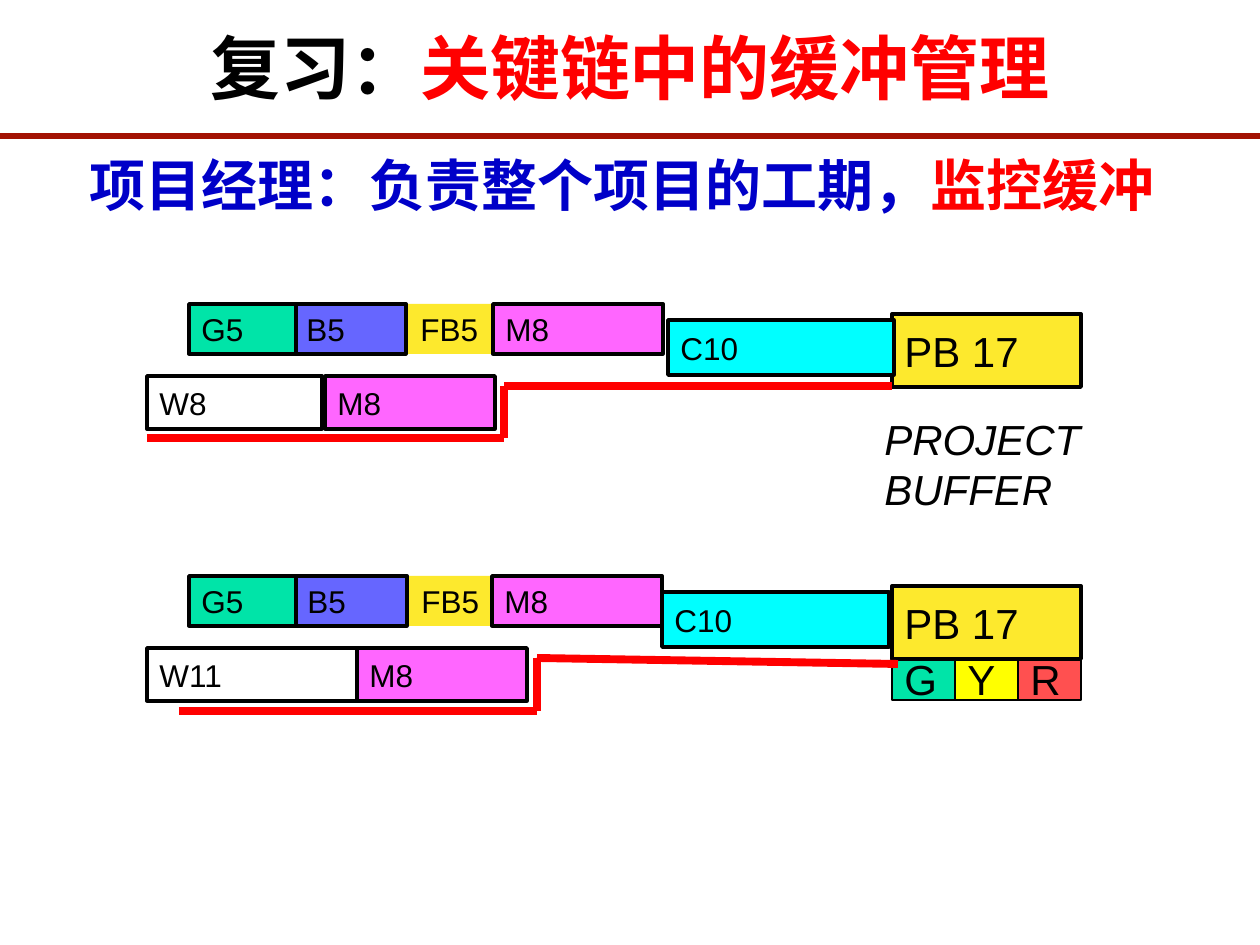
from dataclasses import dataclass
from itertools import pairwise

from lxml.etree import SubElement
from pptx import Presentation
from pptx.dml.color import RGBColor
from pptx.enum.shapes import MSO_CONNECTOR, MSO_SHAPE
from pptx.enum.text import MSO_ANCHOR, PP_ALIGN
from pptx.oxml.ns import qn
from pptx.util import Emu, Pt


@dataclass(frozen=True)
class Theme:
    latin: str = "Arial"
    chinese: str = "Noto Sans CJK SC"
    black: str = "000000"
    white: str = "FFFFFF"
    red: str = "FF0000"
    blue: str = "0000C8"
    rule: str = "A31203"
    green: str = "00E4A8"
    violet: str = "6666FF"
    pink: str = "FF66FF"
    cyan: str = "00FFFF"
    buffer: str = "FDE92D"
    yellow: str = "FFFF00"
    coral: str = "FF5050"
    title_size: int = 40
    subtitle_size: int = 32
    buffer_size: int = 24
    task_size: int = 18


THEME = Theme()
PX_PER_INCH = 126
SLIDE_WIDTH, SLIDE_HEIGHT = 1260, 945

TITLE = [("复习：", THEME.black), ("关键链中的缓冲管理", THEME.red)]
SUBTITLE = [("项目经理：负责整个项目的工期，", THEME.blue), ("监控缓冲", THEME.red)]
BUFFER_CAPTION = "PROJECT BUFFER"
ZONES = [("G", THEME.green), ("Y", THEME.yellow), ("R", THEME.coral)]
ZONE_LEFT, ZONE_TOP, ZONE_WIDTH, ZONE_HEIGHT = 892, 658, 63, 42

# lane: offset from schedule top, height, type size, outline in points
LANES = {
    "feeding": (0, 50, THEME.task_size, 2),
    "feeding buffer": (0, 50, THEME.task_size, 0),
    "final": (16, 55, THEME.task_size, 2),
    "critical": (72, 53, THEME.task_size, 2),
    "project buffer": (10, 73, THEME.buffer_size, 2.25),
}

SCHEDULES = [
    {
        "top": 304,
        "bars": [
            ("FB5", "feeding buffer", 408, 86, THEME.buffer),
            ("PB 17", "project buffer", 892, 189, THEME.buffer),
            ("W8", "critical", 147, 175, THEME.white),
            ("B5", "feeding", 294, 112, THEME.violet),
            ("M8", "feeding", 493, 170, THEME.pink),
            ("C10", "final", 668, 226, THEME.cyan),
            ("G5", "feeding", 189, 107, THEME.green),
            ("M8", "critical", 325, 170, THEME.pink),
        ],
        "chain": [(147, 438), (504, 438), (504, 386), (892, 386)],
    },
    {
        "top": 576,
        "bars": [
            ("W11", "critical", 147, 210, THEME.white),
            ("PB 17", "project buffer", 892, 189, THEME.buffer),
            ("FB5", "feeding buffer", 409, 86, THEME.buffer),
            ("B5", "feeding", 295, 112, THEME.violet),
            ("M8", "feeding", 492, 170, THEME.pink),
            ("C10", "final", 662, 227, THEME.cyan),
            ("G5", "feeding", 189, 107, THEME.green),
            ("M8", "critical", 357, 170, THEME.pink),
        ],
        "chain": [(179, 711), (537, 711), (537, 658), (898, 664)],
    },
]


def px(value):
    return Emu(round(value * 914400 / PX_PER_INCH))


def colour(value):
    return RGBColor.from_string(value)


def add_runs(paragraph, pieces, size, font_name, bold=False, italic=False):
    for text, text_colour in pieces:
        run = paragraph.add_run()
        run.text = text
        run.font.size = Pt(size)
        run.font.name = font_name
        run.font.bold = bold
        run.font.italic = italic
        run.font.color.rgb = colour(text_colour)
        SubElement(run._r.get_or_add_rPr(), qn("a:ea"), typeface=font_name)


def add_text(slide, box, pieces, size, font_name, **style):
    shape = slide.shapes.add_textbox(*map(px, box))
    shape.text_frame.word_wrap = True
    paragraph = shape.text_frame.paragraphs[0]
    add_runs(paragraph, pieces, size, font_name, **style)
    return shape, paragraph


def add_bar(slide, label, box, fill, size, outline):
    shape = slide.shapes.add_shape(MSO_SHAPE.RECTANGLE, *map(px, box))
    shape.shadow.inherit = False
    shape.fill.solid()
    shape.fill.fore_color.rgb = colour(fill)
    if outline:
        shape.line.color.rgb = colour(THEME.black)
        shape.line.width = Pt(outline)
    else:
        shape.line.fill.background()
    shape.text_frame.word_wrap = False
    shape.text_frame.vertical_anchor = MSO_ANCHOR.MIDDLE
    paragraph = shape.text_frame.paragraphs[0]
    paragraph.alignment = PP_ALIGN.LEFT
    add_runs(paragraph, [(label, THEME.black)], size, THEME.latin)


def add_line(slide, start, end, line_colour, width):
    line = slide.shapes.add_connector(MSO_CONNECTOR.STRAIGHT, *map(px, (*start, *end)))
    line.line.color.rgb = colour(line_colour)
    line.line.width = Pt(width)
    SubElement(line._element.spPr, qn("a:effectLst"))


def add_schedule(slide, schedule):
    for label, lane, left, width, fill in schedule["bars"]:
        offset, height, size, outline = LANES[lane]
        box = (left, schedule["top"] + offset, width, height)
        add_bar(slide, label, box, fill, size, outline)
    for start, end in pairwise(schedule["chain"]):
        add_line(slide, start, end, THEME.red, 4.5)


def main():
    presentation = Presentation()
    presentation.slide_width = px(SLIDE_WIDTH)
    presentation.slide_height = px(SLIDE_HEIGHT)
    slide = presentation.slides.add_slide(presentation.slide_layouts[6])

    add_line(slide, (0, 136), (SLIDE_WIDTH, 136), THEME.rule, 3)
    for index, (label, fill) in enumerate(ZONES):
        box = (ZONE_LEFT + index * ZONE_WIDTH, ZONE_TOP, ZONE_WIDTH, ZONE_HEIGHT)
        add_bar(slide, label, box, fill, THEME.buffer_size, 0.75)

    _, subtitle = add_text(slide, (77, 157, 1108, 66), SUBTITLE,
                           THEME.subtitle_size, THEME.chinese, bold=True)
    subtitle.line_spacing = 0.8
    add_text(slide, (872, 407, 237, 113), [(BUFFER_CAPTION, THEME.black)],
             THEME.buffer_size, THEME.latin, italic=True)

    for schedule in SCHEDULES:
        add_schedule(slide, schedule)

    title_box, title = add_text(slide, (0, 18, SLIDE_WIDTH, 97), TITLE,
                                THEME.title_size, THEME.chinese, bold=True)
    title_box.fill.solid()
    title_box.fill.fore_color.rgb = colour(THEME.white)
    title.alignment = PP_ALIGN.CENTER

    presentation.save("out.pptx")


if __name__ == "__main__":
    main()
